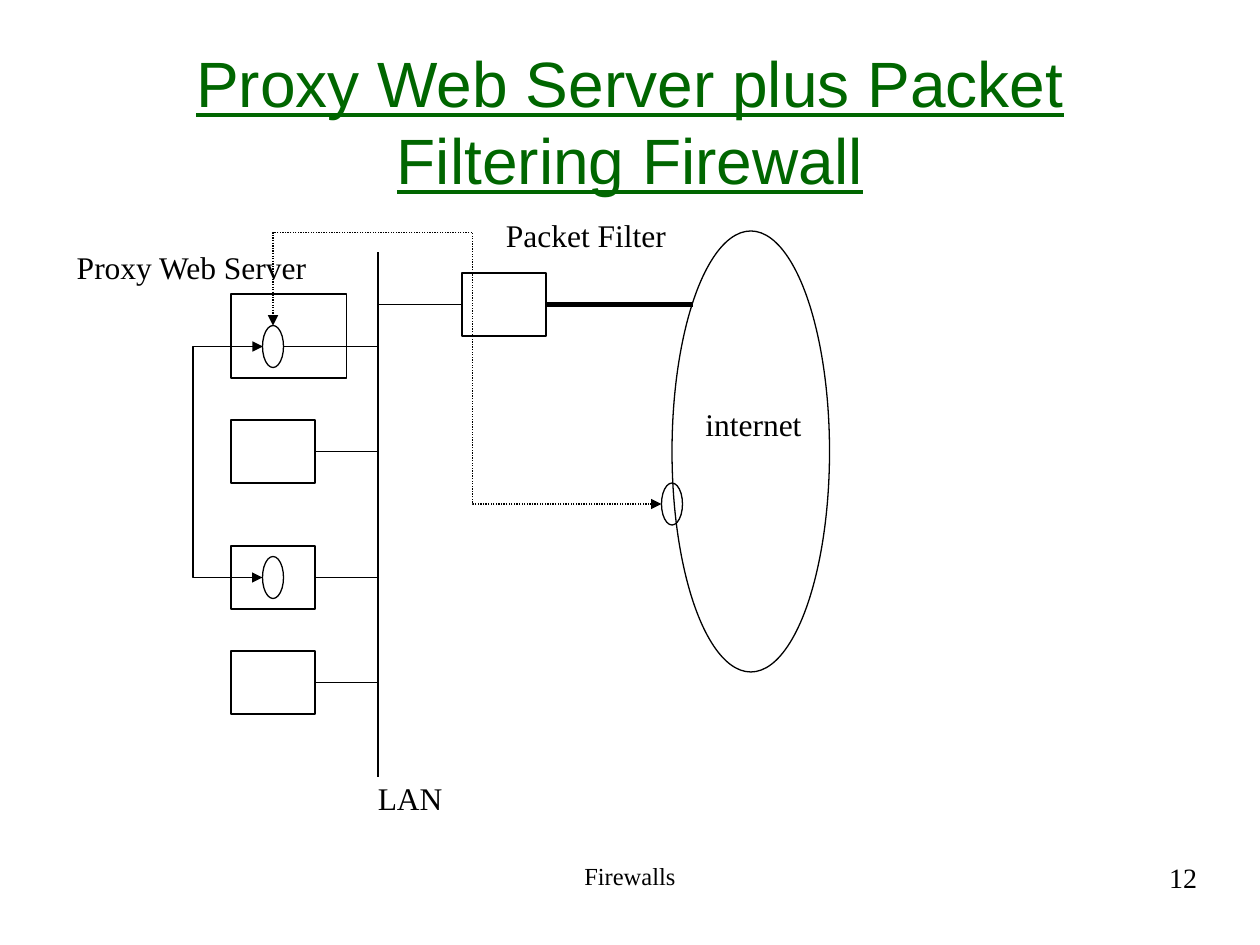
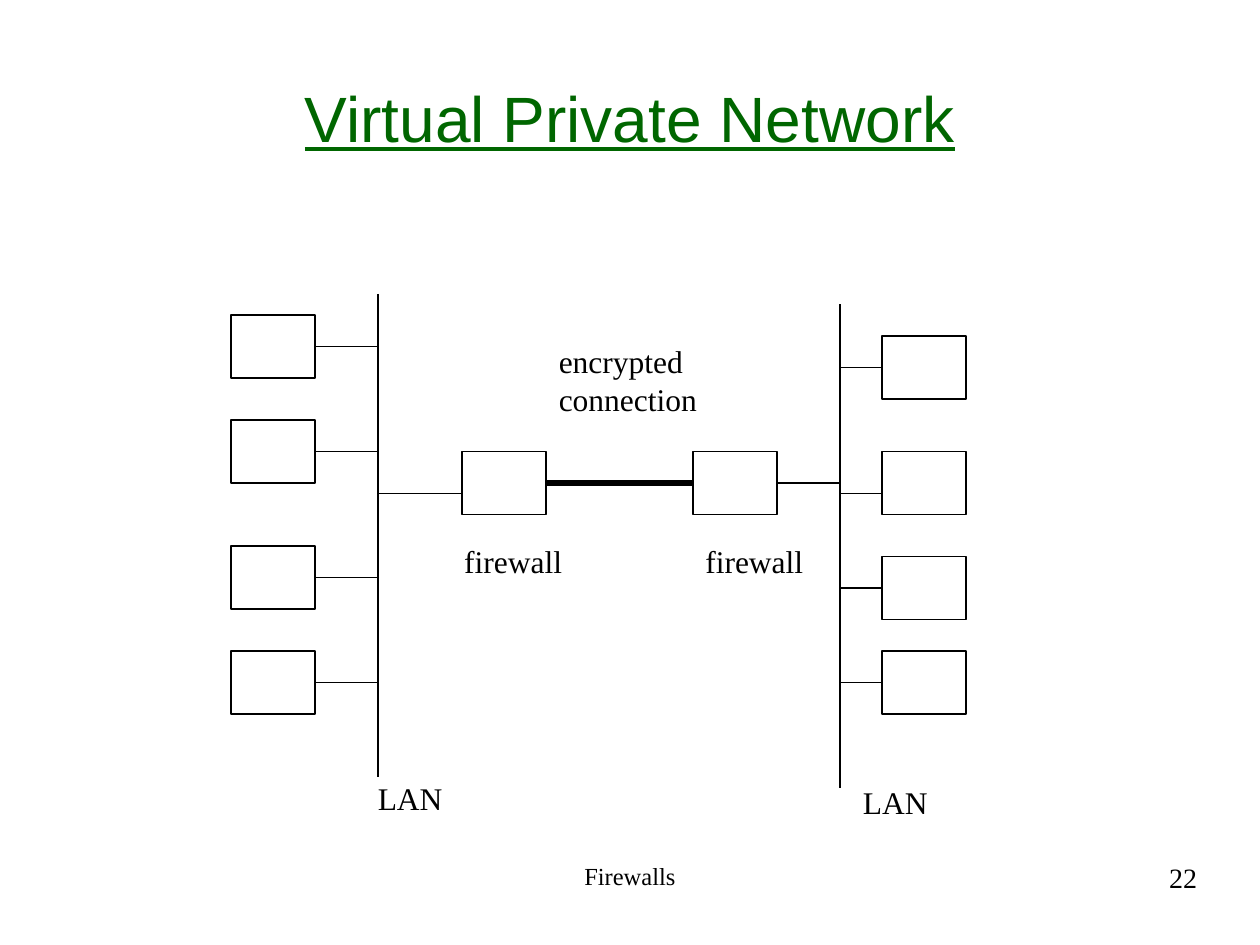
from dataclasses import dataclass
from lxml.etree import SubElement
from pptx import Presentation
from pptx.dml.color import RGBColor
from pptx.enum.dml import MSO_LINE
from pptx.enum.shapes import MSO_CONNECTOR, MSO_SHAPE
from pptx.enum.text import MSO_ANCHOR, MSO_AUTO_SIZE, PP_ALIGN
from pptx.oxml.ns import qn
from pptx.util import Pt


@dataclass(frozen=True)
class Theme:
    ink: RGBColor = RGBColor(0, 0, 0)
    title_color: RGBColor = RGBColor(0, 0x66, 0)
    title_font: str = "Arial"
    body_font: str = "Times New Roman"
    title_size: float = 36.6
    label_size: float = 18
    footer_size: float = 14
    number_size: float = 16
    thin: float = 0.74
    thick: float = 3


THEME = Theme()
FOOTER = "Firewalls"
HOST_WIDTH, HOST_HEIGHT = 48, 36
PROCESS_WIDTH, PROCESS_HEIGHT = 12, 24
LEFT_HOST, LEFT_LAN, RIGHT_LAN, RIGHT_HOST = 132, 216, 480, 504
GATEWAY, REMOTE_GATEWAY = 264, 396

SLIDES = [
    dict(
        title="Proxy Web Server plus Packet Filtering Firewall",
        title_box=(54, 24, 612, 90),
        number="12",
        left_hosts=[240, 312, 372],
        right_hosts=[],
        gateways=[(GATEWAY, 156)],
        boxes=[(LEFT_HOST, 168, 66, 48)],
        clouds=[(384, 132, 90, 252)],
        processes=[(156, 198), (156, 330), (384, 288)],
        lans=[(LEFT_LAN, 144, 444)],
        wires=[(LEFT_LAN, GATEWAY, 174), (162, LEFT_LAN, 198)],
        trunk=(GATEWAY + HOST_WIDTH, REMOTE_GATEWAY, 174),
        labels=[
            (["Proxy Web Server"], 36.8, 138, 147),
            (["Packet Filter"], 282, 120, 107),
            (["LAN"], 208.8, 441.4, 53),
            (["internet"], 396, 228, 71),
        ],
        flows=[
            dict(start=(150, 330), end=(150.17, 198), turns=(110.3,), dotted=False),
            dict(start=(378, 288), end=(156, 186), turns=(270, 132.9), dotted=True),
        ],
    ),
    dict(
        title="Virtual Private Network",
        title_box=(36, 21.6, 648, 90),
        number="22",
        left_hosts=[180, 240, 312, 372],
        right_hosts=[(192, 210), (258, 282), (318, 336), (372, 390)],
        gateways=[(GATEWAY, 258), (REMOTE_GATEWAY, 258)],
        boxes=[],
        clouds=[],
        processes=[],
        lans=[(LEFT_LAN, 168, 444), (RIGHT_LAN, 174, 450)],
        wires=[(LEFT_LAN, GATEWAY, 282), (REMOTE_GATEWAY + HOST_WIDTH, RIGHT_LAN, 276)],
        trunk=(GATEWAY + HOST_WIDTH, REMOTE_GATEWAY, 276),
        labels=[
            (["firewall"], 258.2, 306, 72),
            (["firewall"], 396, 306, 72),
            (["encrypted", "connection"], 312.2, 192, 96),
            (["LAN"], 208.8, 441.4, 53),
            (["LAN"], 486, 444, 55.4),
        ],
        flows=[],
    ),
]


def add_text(slide, box, lines, size, font=THEME.body_font, color=THEME.ink,
             align=PP_ALIGN.LEFT, underline=None, label=False, anchor=MSO_ANCHOR.TOP):
    shape = slide.shapes.add_textbox(*map(Pt, box))
    frame = shape.text_frame
    frame.word_wrap = not label
    frame.vertical_anchor = anchor
    frame.auto_size = MSO_AUTO_SIZE.SHAPE_TO_FIT_TEXT if label else MSO_AUTO_SIZE.NONE
    frame.margin_left = frame.margin_right = Pt(7.2 if label else 0)
    frame.margin_top = frame.margin_bottom = Pt(3.6 if label else 0)
    for index, line in enumerate(lines):
        paragraph = frame.add_paragraph() if index else frame.paragraphs[0]
        paragraph.alignment = align
        run = paragraph.add_run()
        run.text = line
        run.font.name, run.font.size = font, Pt(size)
        run.font.color.rgb, run.font.underline = color, underline


def add_outline(slide, kind, *box):
    shape = slide.shapes.add_shape(kind, *map(Pt, box))
    shape.shadow.inherit = False
    shape.fill.background()
    shape.line.color.rgb = THEME.ink
    shape.line.width = Pt(THEME.thin)


def add_line(slide, start, end, width=THEME.thin, kind=MSO_CONNECTOR.STRAIGHT):
    connector = slide.shapes.add_connector(kind, *map(Pt, (*start, *end)))
    connector.line.color.rgb = THEME.ink
    connector.line.width = Pt(width)
    SubElement(connector._element.spPr, qn("a:effectLst"))
    return connector


def add_flow(slide, start, end, turns, dotted):
    connector = add_line(slide, end, start, kind=MSO_CONNECTOR.ELBOW)
    if dotted:
        connector.line.dash_style = MSO_LINE.ROUND_DOT
    properties = connector._element.spPr
    properties.find(qn("a:xfrm")).set("rot", "10800000")
    geometry = properties.find(qn("a:prstGeom"))
    geometry.set("prst", f"bentConnector{len(turns) + 2}")
    adjustments = geometry.find(qn("a:avLst"))
    if adjustments is None:
        adjustments = SubElement(geometry, qn("a:avLst"))
    for index, (turn, first, last) in enumerate(zip(turns, start, end), 1):
        value = round((turn - first) / (last - first) * 100000)
        SubElement(adjustments, qn("a:gd"), name=f"adj{index}", fmla=f"val {value}")
    line = properties.find(qn("a:ln"))
    for tag in ("a:headEnd", "a:tailEnd"):
        SubElement(line, qn(tag), type="triangle")


def build_slide(presentation, content):
    slide = presentation.slides.add_slide(presentation.slide_layouts[6])
    add_text(slide, content["title_box"], [content["title"]], THEME.title_size,
             THEME.title_font, THEME.title_color, PP_ALIGN.CENTER, True,
             anchor=MSO_ANCHOR.MIDDLE)

    hosts = [(LEFT_HOST, top) for top in content["left_hosts"]]
    hosts += [(RIGHT_HOST, top) for top, wire in content["right_hosts"]]
    for left, top in hosts + content["gateways"]:
        add_outline(slide, MSO_SHAPE.RECTANGLE, left, top, HOST_WIDTH, HOST_HEIGHT)
    for box in content["boxes"]:
        add_outline(slide, MSO_SHAPE.RECTANGLE, *box)
    for box in content["clouds"]:
        add_outline(slide, MSO_SHAPE.OVAL, *box)
    for center, middle in content["processes"]:
        add_outline(slide, MSO_SHAPE.OVAL, center - PROCESS_WIDTH / 2,
                    middle - PROCESS_HEIGHT / 2, PROCESS_WIDTH, PROCESS_HEIGHT)

    for left, top, bottom in content["lans"]:
        add_line(slide, (left, top), (left, bottom))
    wires = [(LEFT_HOST + HOST_WIDTH, LEFT_LAN, top + HOST_HEIGHT / 2)
             for top in content["left_hosts"]]
    wires += [(RIGHT_LAN, RIGHT_HOST, wire) for top, wire in content["right_hosts"]]
    for left, right, height in wires + content["wires"]:
        add_line(slide, (left, height), (right, height))
    left, right, height = content["trunk"]
    add_line(slide, (left, height), (right, height), THEME.thick)
    for flow in content["flows"]:
        add_flow(slide, **flow)

    for lines, left, top, width in content["labels"]:
        box = (left, top, width, 7.2 + 21.6 * len(lines))
        add_text(slide, box, lines, THEME.label_size, label=True)
    add_text(slide, (246, 492, 228, 37.5), [FOOTER], THEME.footer_size,
             align=PP_ALIGN.CENTER)
    add_text(slide, (516, 492, 168, 37.5), [content["number"]], THEME.number_size,
             align=PP_ALIGN.RIGHT)


presentation = Presentation()
presentation.slide_width, presentation.slide_height = Pt(720), Pt(540)
for content in SLIDES:
    build_slide(presentation, content)
presentation.save("out.pptx")
